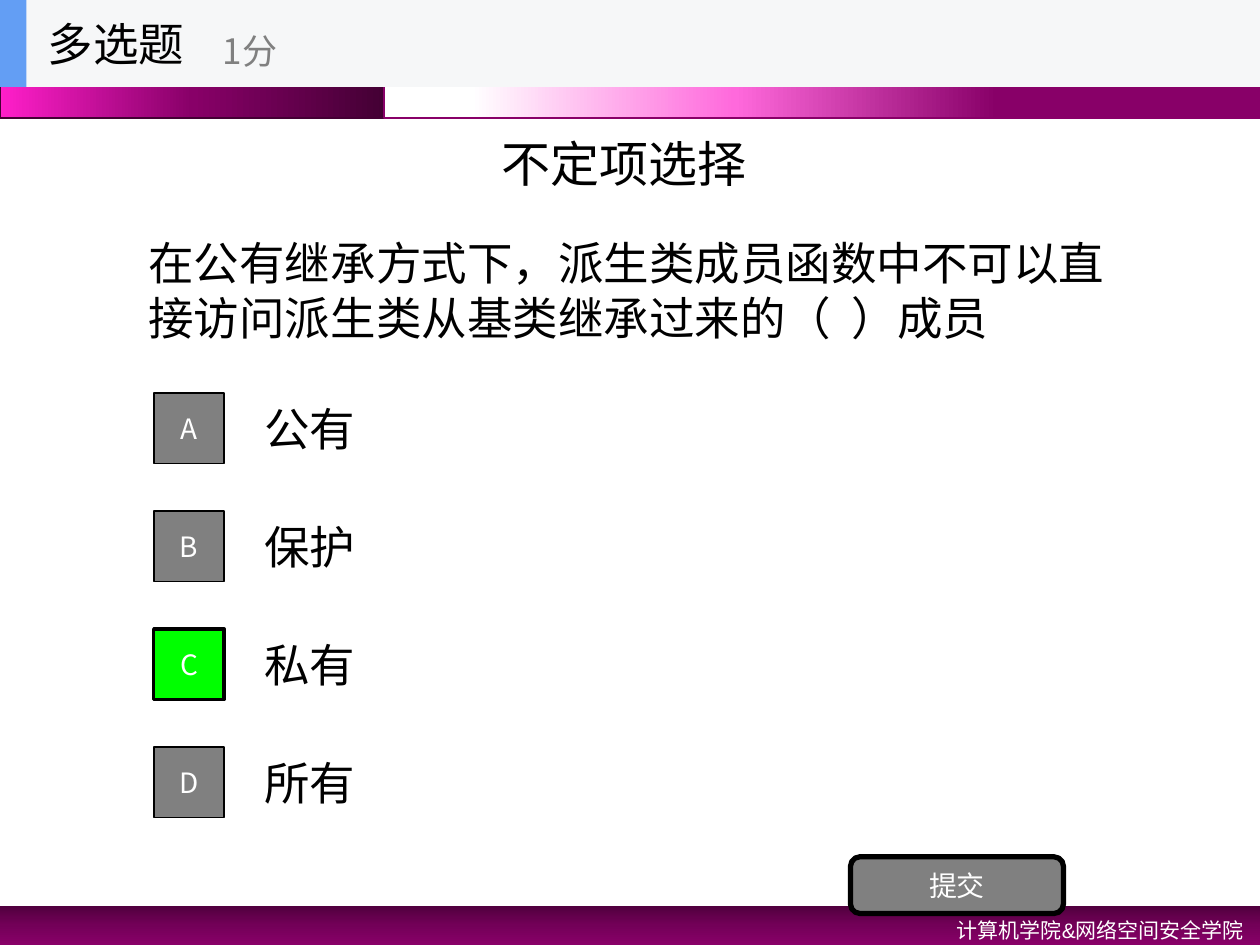
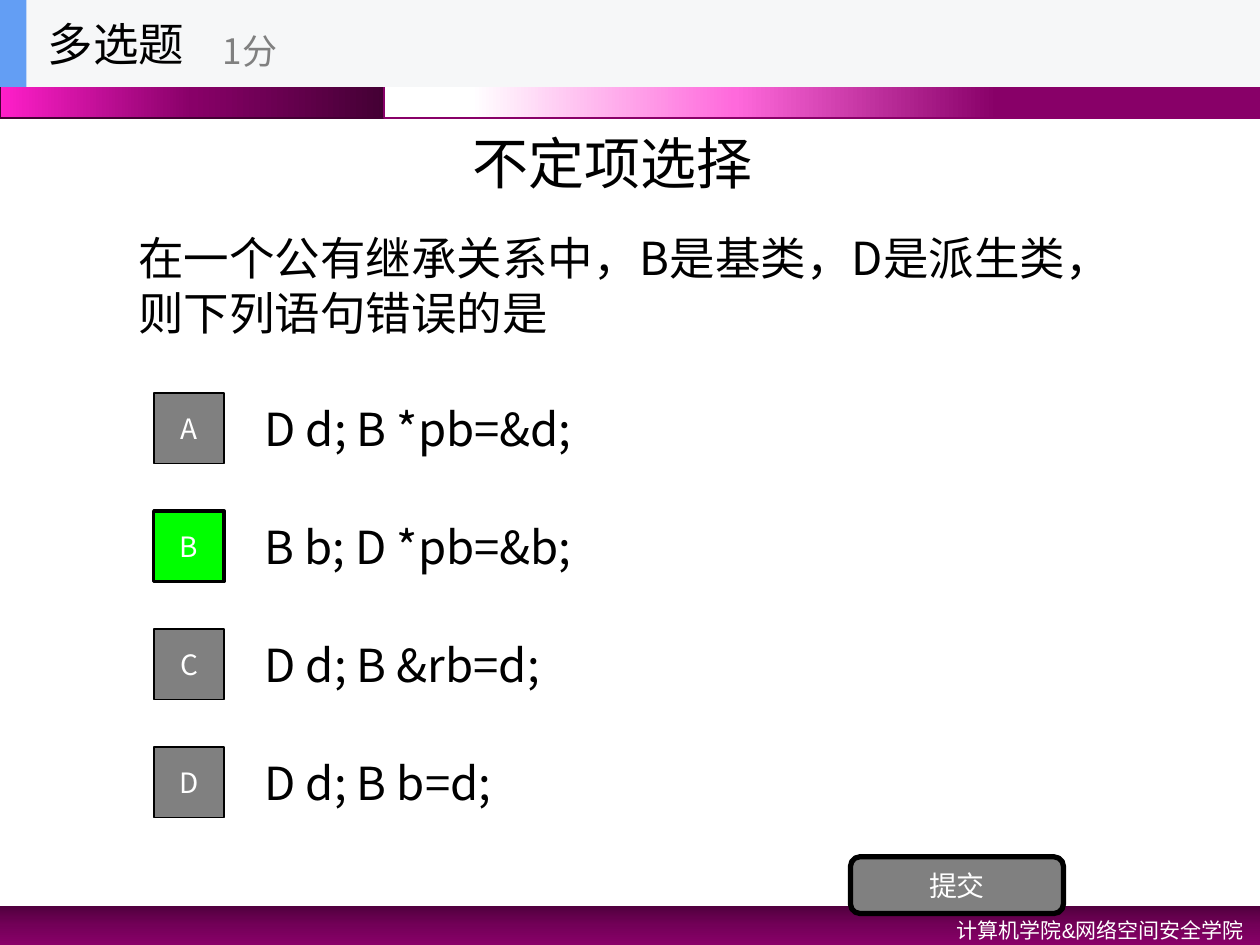
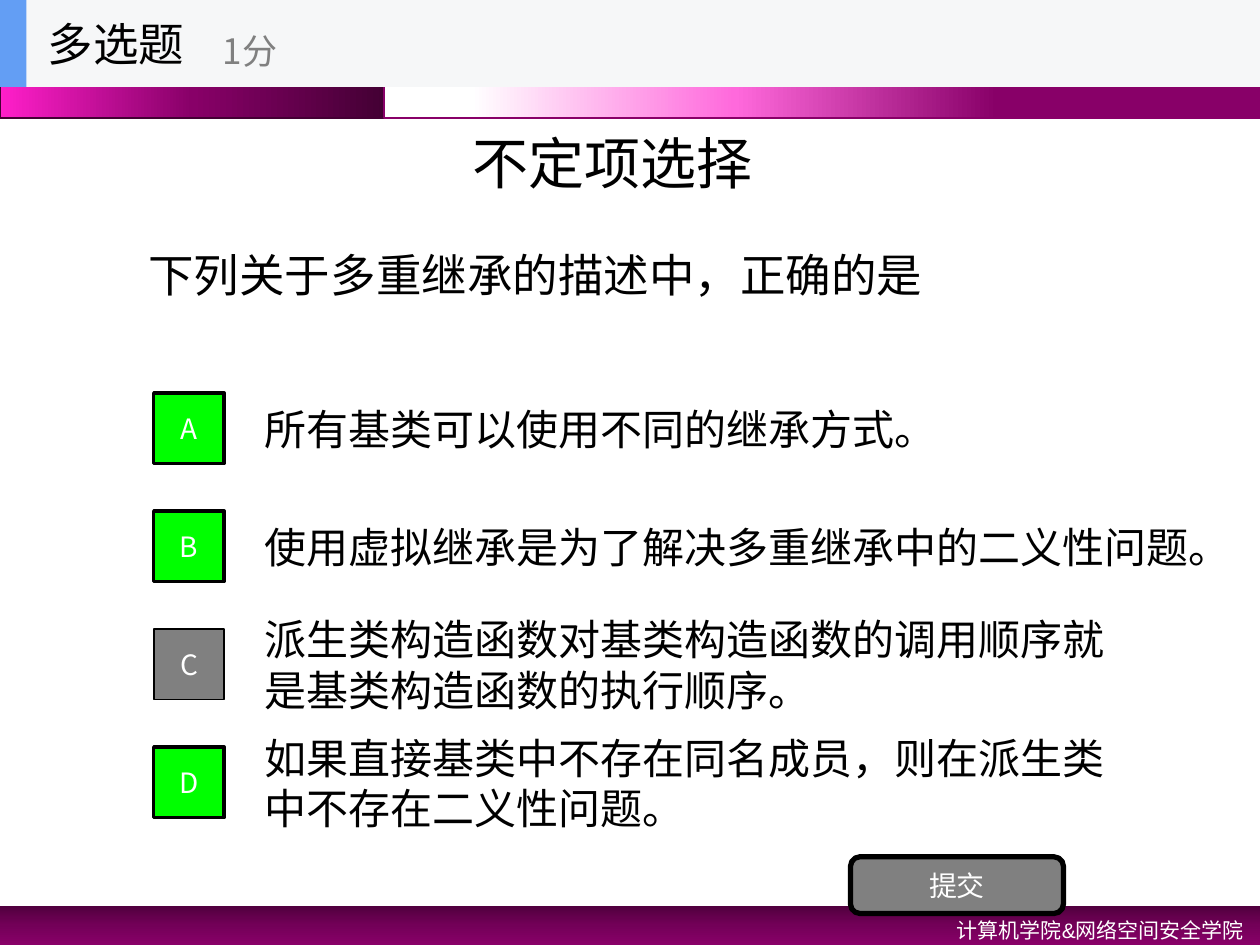
"""Build three multiple-choice quiz slides on C++ inheritance."""
import lxml.etree
import pptx
import pptx.dml.color
import pptx.enum.shapes
import pptx.enum.text
import pptx.oxml.ns
import pptx.util

Inches = pptx.util.Inches
SHAPE = pptx.enum.shapes.MSO_SHAPE
ALIGN = pptx.enum.text.PP_ALIGN
ANCHOR = pptx.enum.text.MSO_ANCHOR
AUTO_SIZE = pptx.enum.text.MSO_AUTO_SIZE
qn = pptx.oxml.ns.qn

HAN_FONT = "Noto Sans CJK SC"
LATIN_FONT = "Arial"
COLORS = {
    "text": "000000", "light": "FFFFFF", "gray": "808080", "correct": "00FF00",
    "header": "F6F7F8", "accent": "639EF4",
    "plum": "880068", "deep": "440034",
}
BANDS = [
    {"at": (0, 7.19, 10, 0.31), "angle": 90, "line": None,
     "stops": [(0, "51003E"), (50, "730058"), (100, "880068")]},
    {"at": (0, 0, 3.05, 0.94), "angle": 180, "line": "deep",
     "stops": [(0, "440034"), (50, "880068"), (100, "FF1FCA")]},
    {"at": (3.05, 0, 6.95, 0.94), "angle": 180, "line": "plum",
     "stops": [(30, "880068"), (60, "FF69DC"), (90, "FFFFFF")]},
]
FOOTER = "计算机学院&网络空间安全学院"
TITLE = "不定项选择"
KIND, SCORE, SUBMIT = "多选题", "1分", "提交"
LETTERS = "ABCD"
FIRST_ROW, LAST_ROW = 3.05, 5.86
ROW_STEP = (LAST_ROW - FIRST_ROW) / (len(LETTERS) - 1)

QUIZZES = [
    {"title_at": (3.88, 1.01, 3.25, 0.57), "title_size": 28,
     "question": "在公有继承方式下，派生类成员函数中不可以直接访问派生类从基类继承过来的（  ）成员",
     "question_at": (1.08, 1.13, 8, 2.34),
     "options": ["公有", "保护", "私有", "所有"],
     "option_size": 26, "widths": (7, 7, 7, 7), "answers": "C"},
    {"title_at": (3.65, 0.97, 5.44, 0.64), "title_size": 32,
     "question": "在一个公有继承关系中，B是基类，D是派生类，则下列语句错误的是",
     "question_at": (1, 1.09, 8, 2.34),
     "options": ["D d; B *pb=&d;", "B b; D *pb=&b;", "D d; B &rb=d;", "D d; B b=d;"],
     "option_size": 26, "widths": (7, 7, 7, 7), "answers": "B"},
    {"title_at": (3.65, 0.97, 5.44, 0.64), "title_size": 32,
     "question": "下列关于多重继承的描述中，正确的是",
     "question_at": (1.08, 1.01, 8, 2.34),
     "options": ["所有基类可以使用不同的继承方式。",
                 "使用虚拟继承是为了解决多重继承中的二义性问题。",
                 "派生类构造函数对基类构造函数的调用顺序就是基类构造函数的执行顺序。",
                 "如果直接基类中不存在同名成员，则在派生类中不存在二义性问题。"],
     "option_size": 24, "widths": (7, 7.86, 7, 7), "answers": "ABD"},
]


def rgb(name):
    return pptx.dml.color.RGBColor.from_string(COLORS[name])


def write(shape, text, size, color="text", font=HAN_FONT, align=ALIGN.LEFT,
          anchor=ANCHOR.MIDDLE, wrap=True):
    """Put one formatted run in a shape and return its paragraph."""
    frame = shape.text_frame
    frame.word_wrap = wrap
    frame.vertical_anchor = anchor
    para = frame.paragraphs[0]
    para.alignment = align
    span = para.add_run()
    span.text = text
    span.font.size = pptx.util.Pt(size)
    span.font.color.rgb = rgb(color)
    span.font.name = font
    lxml.etree.SubElement(span.font._element, qn("a:ea"), typeface=HAN_FONT)
    return para


def add_text(shapes, at, text, size, **style):
    box = shapes.add_textbox(*map(Inches, at))
    para = write(box, text, size, **style)
    return box, para


def add_block(shapes, at, fill=None, line=None, weight=1, kind=SHAPE.RECTANGLE):
    block = shapes.add_shape(kind, *map(Inches, at))
    block.shadow.inherit = False
    if fill:
        block.fill.solid()
        block.fill.fore_color.rgb = rgb(fill)
    if line:
        block.line.color.rgb = rgb(line)
        block.line.width = pptx.util.Pt(weight)
    else:
        block.line.fill.background()
    return block


def add_button(shapes, at, text, fill, weight, kind=SHAPE.RECTANGLE):
    button = add_block(shapes, at, fill, "text", weight, kind)
    write(button, text, 16, color="light", align=ALIGN.CENTER)


def add_band(shapes, band):
    block = add_block(shapes, band["at"], line=band["line"])
    block.fill.gradient()
    block.fill.gradient_angle = 360 - band["angle"]
    stops = block._element.spPr.find(qn("a:gradFill")).find(qn("a:gsLst"))
    for stop in list(stops):
        stops.remove(stop)
    for position, color in band["stops"]:
        stop = lxml.etree.SubElement(stops, qn("a:gs"), pos=str(position * 1000))
        lxml.etree.SubElement(stop, qn("a:srgbClr"), val=color)


def add_frame(shapes):
    for band in BANDS:
        add_band(shapes, band)
    footer, para = add_text(shapes, (6.42, 7.19, 3.55, 0.32), FOOTER, 12, color="light",
                            font=LATIN_FONT, align=ALIGN.RIGHT, anchor=ANCHOR.TOP)
    footer.text_frame.auto_size = AUTO_SIZE.SHAPE_TO_FIT_TEXT
    para.line_spacing = 1.2


def add_header(shapes):
    header = shapes.add_group_shape().shapes
    add_block(header, (0, 0, 10, 0.69), "header")
    add_block(header, (0, 0, 0.21, 0.69), "accent")
    add_text(header, (0.28, 0, 2.08, 0.69), KIND, 26, wrap=False)
    add_text(header, (1.67, 0.12, 2.5, 0.56), SCORE, 20, color="gray", wrap=False)


def set_title(title, at, size):
    title.left, title.top, title.width, title.height = map(Inches, at)
    write(title, TITLE, size, font=LATIN_FONT, anchor=ANCHOR.TOP)
    title.text_frame.auto_size = AUTO_SIZE.SHAPE_TO_FIT_TEXT


def add_quiz(deck, quiz):
    page = deck.slides.add_slide(deck.slide_layouts[5])
    shapes = page.shapes
    set_title(shapes.title, quiz["title_at"], quiz["title_size"])
    add_frame(shapes)
    add_text(shapes, quiz["question_at"], quiz["question"], 26)
    rows = zip(LETTERS, quiz["options"], quiz["widths"])
    for index, (letter, option, width) in enumerate(rows):
        top = FIRST_ROW + index * ROW_STEP
        add_text(shapes, (2, top, width, 0.7), option, quiz["option_size"])
        correct = letter in quiz["answers"]
        add_button(shapes, (1.22, top + 0.07, 0.56, 0.56), letter,
                   "correct" if correct else "gray", 2 if correct else 1)
    add_button(shapes, (6.75, 6.8, 1.69, 0.45), SUBMIT, "gray", 3, SHAPE.ROUNDED_RECTANGLE)
    add_header(shapes)


def main():
    deck = pptx.Presentation()
    deck.slide_width, deck.slide_height = Inches(10), Inches(7.5)
    for quiz in QUIZZES:
        add_quiz(deck, quiz)
    deck.save("out.pptx")


if __name__ == "__main__":
    main()
